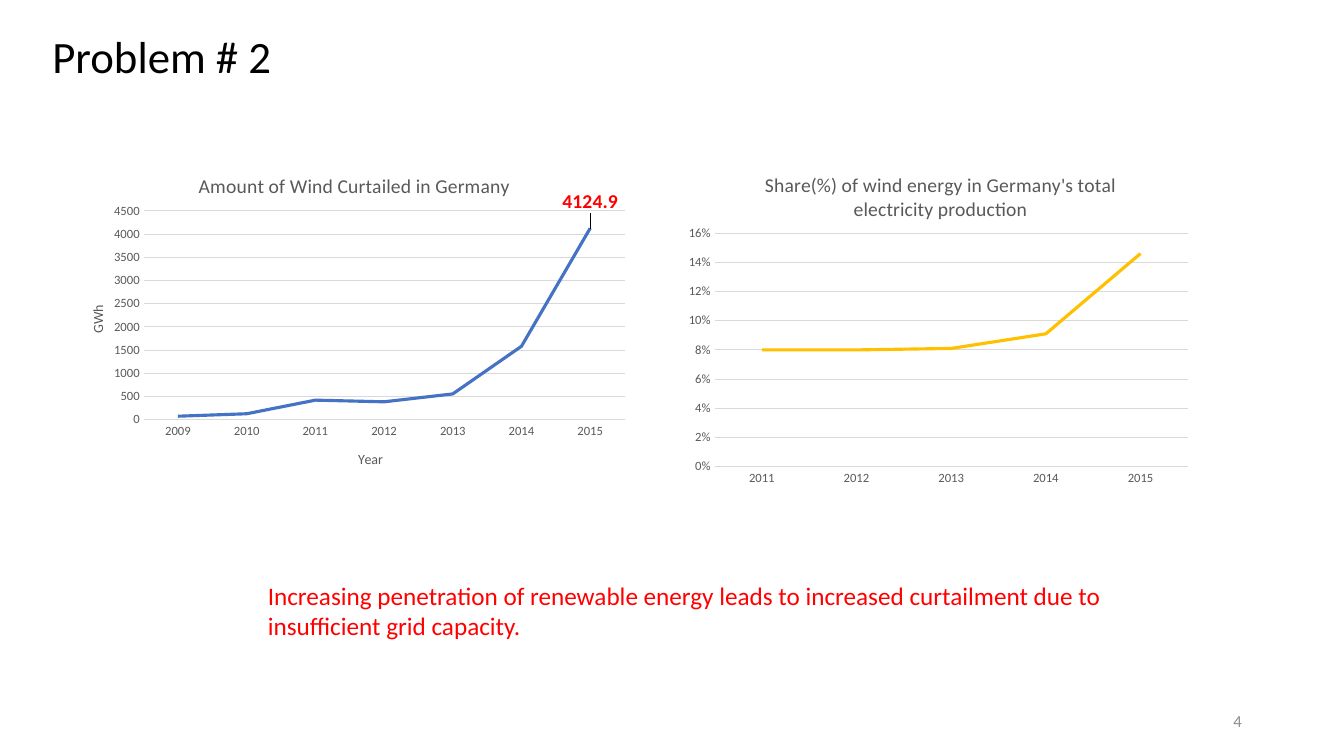
from lxml import etree
from pptx import Presentation
from pptx.chart.data import CategoryChartData
from pptx.dml.color import RGBColor
from pptx.enum.chart import XL_CHART_TYPE, XL_LABEL_POSITION, XL_TICK_MARK
from pptx.enum.shapes import MSO_SHAPE
from pptx.enum.text import MSO_ANCHOR, PP_ALIGN
from pptx.oxml.ns import qn
from pptx.util import Cm, Pt

LINE, STACKED = XL_CHART_TYPE.LINE, XL_CHART_TYPE.LINE_STACKED
ABOVE = XL_LABEL_POSITION.ABOVE
NO_TICK = XL_TICK_MARK.NONE
RECTANGLE = MSO_SHAPE.RECTANGLE
TOP, MIDDLE = MSO_ANCHOR.TOP, MSO_ANCHOR.MIDDLE
LEFT, RIGHT = PP_ALIGN.LEFT, PP_ALIGN.RIGHT

BLACK = RGBColor(0x00, 0x00, 0x00)
WHITE = RGBColor(0xFF, 0xFF, 0xFF)
PALE = RGBColor(0xE7, 0xE6, 0xE6)
GRID = RGBColor(0xD9, 0xD9, 0xD9)
MUTED = RGBColor(0x8C, 0x8C, 0x8C)
GREY = RGBColor(0x59, 0x59, 0x59)
RED = RGBColor(0xFF, 0x00, 0x00)
BLUE = RGBColor(0x44, 0x72, 0xC4)
GOLD = RGBColor(0xFF, 0xC0, 0x00)


class SlideBuilder:
    """Draws styled elements on the current slide."""

    font_name = "Calibri"

    def __init__(self, prs):
        self.s = prs.slides.add_slide(prs.slide_layouts[6])

    def set_font(self, font, size, color, bold=False):
        font.name, font.size, font.bold = self.font_name, Pt(size), bold
        font.color.rgb = color

    def background(self, color):
        fill = self.s.background.fill
        fill.solid()
        fill.fore_color.rgb = color

    def panel(self, width, height, color):
        sp = self.s.shapes.add_shape(RECTANGLE, 0, 0, width, height)
        sp.shadow.inherit = False
        sp.fill.solid()
        sp.fill.fore_color.rgb = color
        sp.line.fill.background()

    def text(self, box, text, size, color, align=LEFT, anchor=TOP):
        tf = self.s.shapes.add_textbox(*map(Cm, box)).text_frame
        tf.word_wrap = True
        tf.vertical_anchor = anchor
        p = tf.paragraphs[0]
        p.text, p.alignment = text, align
        self.set_font(p.font, size, color)
        return p

    def layout(self, parent, index, **values):
        for old in parent.findall(qn("c:layout")):
            parent.remove(old)
        layout = etree.Element(qn("c:layout"))
        manual = etree.SubElement(layout, qn("c:manualLayout"))
        for tag, value in values.items():
            etree.SubElement(manual, qn("c:" + tag)).set("val", str(value))
        parent.insert(index, layout)

    def title(self, title, text, size, x, y):
        tf = title.text_frame
        tf.text = text
        self.set_font(tf.paragraphs[0].font, size, GREY)
        self.layout(title._element, 1, xMode="edge", yMode="edge", x=x, y=y)
        return tf

    def axis(self, axis):
        axis.major_tick_mark = axis.minor_tick_mark = NO_TICK
        self.set_font(axis.tick_labels.font, 9, GREY)

    def chart(self, kind, box, title, title_at, plot, years, values, color,
              number_format="General"):
        data = CategoryChartData(number_format=number_format)
        data.categories = [str(year) for year in years]
        data.add_series("Series 1", values)
        chart = self.s.shapes.add_chart(kind, *map(Cm, box), data).chart
        self.set_font(chart.font, 10, BLACK)
        chart.has_legend = False
        self.title(chart.chart_title, title, 14, *title_at)
        x, y, w, h = plot
        area = chart._chartSpace.chart.plotArea
        self.layout(area, 0, layoutTarget="inner", xMode="edge",
                    yMode="edge", x=x, y=y, w=w, h=h)

        years_axis, amounts = chart.category_axis, chart.value_axis
        self.axis(years_axis)
        self.axis(amounts)
        amounts.tick_labels.number_format = number_format
        amounts.tick_labels.number_format_is_linked = False
        amounts.format.line.fill.background()
        for line in (years_axis.format.line, amounts.major_gridlines.format.line):
            line.color.rgb, line.width = GRID, Pt(0.75)

        chart.plots[0].vary_by_categories = False
        series = chart.plots[0].series[0]
        series.smooth = False
        series.format.line.color.rgb = color
        series.format.line.width = Pt(2.25)
        return chart

    def highlight(self, chart, index, color):
        label = chart.plots[0].series[0].points[index].data_label
        self.set_font(label.font, 14, color, bold=True)
        label.position = ABOVE
        self.layout(label._dLbl, 1, x=0, y=-0.03)


def main():
    prs = Presentation()
    prs.slide_width, prs.slide_height = Cm(33.87), Cm(19.05)
    b = SlideBuilder(prs)
    b.background(PALE)
    b.panel(prs.slide_width, prs.slide_height, WHITE)

    heading = b.text((1.07, 0.74, 15.85, 2.41), "Problem # 2", 32, BLACK)
    heading.line_spacing, heading.space_before = 0.9, Pt(10)
    b.text((23.93, 17.65, 7.62, 1.02), "4", 12, MUTED, RIGHT, MIDDLE)

    curtailed = b.chart(
        LINE, (1.6, 3.71, 14.43, 8.92),
        "Amount of Wind Curtailed in Germany", (0.23, 0.06),
        (0.14, 0.18, 0.84, 0.59), range(2009, 2016),
        (73.7, 126.8, 420.6, 384.8, 554.8, 1580.6, 4124.9), BLUE)
    b.title(curtailed.category_axis.axis_title, "Year", 10, 0.51, 0.85)
    tf = b.title(curtailed.value_axis.axis_title, "GWh", 10, 0.04, 0.44)
    tf._txBody.bodyPr.set("rot", "-5400000")
    b.highlight(curtailed, 6, RED)

    b.text((6.5, 14.5, 22.02, 1.8),
           "Increasing penetration of renewable energy leads to increased "
           "curtailment due to insufficient grid capacity.", 18, RED)

    b.chart(
        STACKED, (17.09, 3.71, 13.11, 8.66),
        "Share(%) of wind energy in Germany's total electricity production",
        (0.16, 0.06), (0.07, 0.25, 0.91, 0.68), range(2011, 2016),
        (0.08, 0.08, 0.081, 0.091, 0.146), GOLD, "0%")

    prs.save("out.pptx")


if __name__ == "__main__":
    main()
